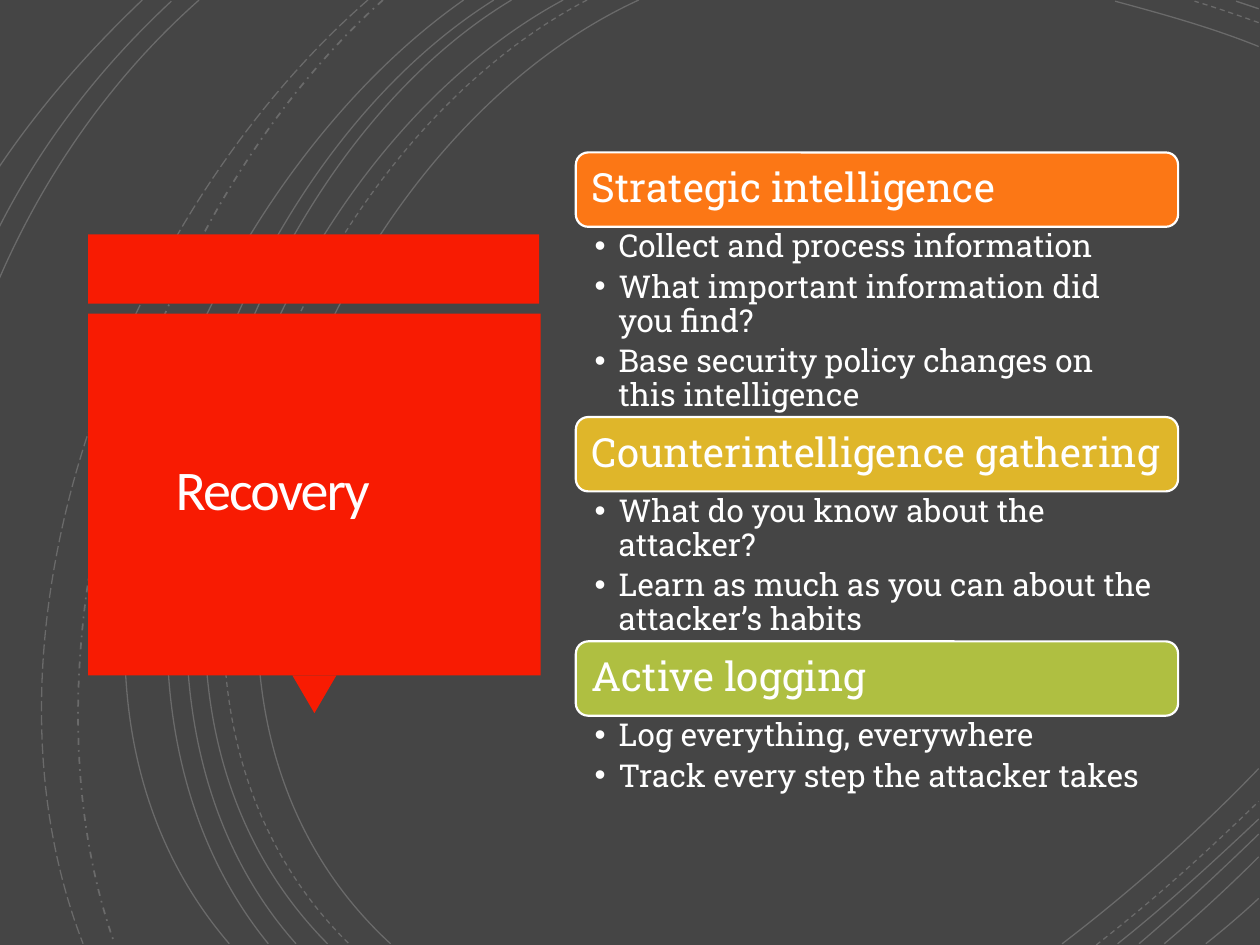
from lxml.etree import SubElement
from pptx import Presentation
from pptx.dml.color import RGBColor
from pptx.enum.dml import MSO_LINE
from pptx.enum.shapes import MSO_SHAPE
from pptx.enum.text import MSO_ANCHOR, PP_ALIGN
from pptx.oxml.ns import qn
from pptx.util import Inches, Pt

COLUMNS, ROWS = 100, 75
CELL = Inches(0.1)
COLORS = {
    "background": "454545",
    "white": "FFFFFF",
    "title": "FFFEFF",
    "red": "F81B02",
    "orange": "FC7715",
    "gold": "DFB62A",
    "green": "AFBF41",
}
BODY_FONT = "Roboto Slab"
SOLID, DASH = MSO_LINE.SOLID, MSO_LINE.DASH

ARCS = [
    (SOLID, 0.75, (50.7, 0), (25.6, 11.5), (8.3, 54), (31, 74.9)),
    (SOLID, 0.75, (99.9, 3.7), (96.2, 2.2), (92.2, 1.1), (88.5, 0.1)),
    (SOLID, 0.75, (84.3, 74.9), (89.8, 70.7), (95.1, 66), (99.9, 61)),
    (DASH, 0.75, (46.6, 0), (22.6, 12.5), (6.3, 53.8), (27.7, 74.9)),
    (DASH, 0.75, (99.9, 1.8), (98.2, 1.2), (96.5, 0.6), (94.8, 0.1)),
    (DASH, 0.75, (87, 75), (91.5, 71.5), (95.8, 67.6), (99.9, 63.6)),
    (SOLID, 0.75, (44.7, 0), (21.1, 12.7), (5, 53.7), (26, 74.9)),
    (SOLID, 0.75, (99.9, 0.7), (99.3, 0.5), (98.7, 0.3), (98.1, 0.1)),
    (SOLID, 0.75, (88.7, 74.9), (92.6, 71.8), (96.3, 68.4), (99.9, 65)),
    (SOLID, 0.75, (40.6, 0), (18.5, 13.3), (5, 54.1), (23.5, 74.9)),
    (SOLID, 0.75, (90.4, 74.9), (93.7, 72.1), (96.8, 69.2), (99.9, 66.2)),
    (SOLID, 0.75, (39.2, 0), (17.2, 13.8), (3.8, 53.4), (21.3, 74.9)),
    (SOLID, 0.75, (92.4, 74.9), (95, 72.7), (97.5, 70.4), (99.9, 68)),
    (SOLID, 0.75, (36.8, 0), (15.8, 14.7), (-0.7, 52.9), (18.2, 74.9)),
    (SOLID, 0.75, (95.7, 74.9), (97.1, 73.8), (98.5, 72.6), (99.9, 71.3)),
    (MSO_LINE.DASH_DOT, 1, (30.4, 0), (11.7, 16.6), (0.6, 50.9), (9.1, 74.9)),
    (MSO_LINE.LONG_DASH, 0.75, (29.2, 0), (9.8, 16.9), (-3.1, 49.9), (6.6, 74.9)),
    (SOLID, 0.75, (15.8, 0), (8.8, 6.2), (3.5, 13.9), (-0.1, 22.2)),
    (SOLID, 0.75, (13.6, 0.1), (7.9, 5.4), (3.3, 11.4), (-0.1, 18.1)),
    (SOLID, 0.75, (11.3, 0), (7.1, 4), (3.2, 8.4), (-0.1, 13.3)),
]

SECTIONS = [
    ("Strategic intelligence", "orange", 15.1, [
        "Collect and process information",
        "What important information did you find?",
        "Base security policy changes on this intelligence",
    ]),
    ("Counterintelligence gathering", "gold", 11.9, [
        "What do you know about the attacker?",
        "Learn as much as you can about the attacker’s habits",
    ]),
    ("Active logging", "green", 6.5, [
        "Log everything, everywhere",
        "Track every step the attacker takes",
    ]),
]
SECTION_LEFT, SECTION_TOP, SECTION_WIDTH, HEADING_HEIGHT = 45.7, 12.1, 47.8, 5.9


def cells(*counts):
    return [round(count * CELL) for count in counts]


def color(name):
    return RGBColor.from_string(COLORS[name])


def add_arc(slide, dash, width, start, *controls):
    builder = slide.shapes.build_freeform(*cells(*start))
    builder.add_line_segments([cells(*point) for point in controls], close=False)
    shape = builder.convert_to_shape()
    shape.shadow.inherit = False
    shape.fill.background()
    shape.line.color.rgb = color("white")
    shape.line.width = Pt(width)
    shape.line.dash_style = dash
    line_color = next(shape.line._get_or_add_ln().iter(qn("a:srgbClr")))
    SubElement(line_color, qn("a:alpha"), val="20000")
    outline = next(shape._element.iter(qn("a:path")))
    curve = SubElement(outline, qn("a:cubicBezTo"))
    for segment in outline.findall(qn("a:lnTo")):
        curve.append(segment[0])
        outline.remove(segment)


def add_block(slide, kind, bounds, fill):
    shape = slide.shapes.add_shape(kind, *cells(*bounds))
    shape.shadow.inherit = False
    shape.fill.solid()
    shape.fill.fore_color.rgb = color(fill)
    shape.line.fill.background()
    return shape


def prepare_frame(shape, anchor, insets):
    frame = shape.text_frame
    frame.word_wrap = True
    frame.vertical_anchor = anchor
    (frame.margin_left, frame.margin_top,
     frame.margin_right, frame.margin_bottom) = cells(*insets)
    return frame


def format_paragraph(paragraph, size, font=BODY_FONT, fill="white",
                     spacing=0.9, after=0, alignment=PP_ALIGN.LEFT):
    paragraph.alignment = alignment
    paragraph.line_spacing = spacing
    paragraph.space_after = Pt(after)
    for run in paragraph.runs:
        run.font.size = Pt(size)
        run.font.name = font
        run.font.color.rgb = color(fill)


def add_bullet(paragraph):
    properties = paragraph._p.get_or_add_pPr()
    indent = Inches(0.19)
    properties.set("marL", str(indent))
    properties.set("indent", str(-indent))
    SubElement(properties, qn("a:buFont"), typeface="Arial")
    SubElement(properties, qn("a:buChar"), char="•")


def add_title(slide, text):
    add_block(slide, MSO_SHAPE.RECTANGLE, (7, 18.6, 35.8, 5.5), "red")
    pointer = add_block(slide, MSO_SHAPE.ISOSCELES_TRIANGLE, (23.2, 53.6, 3.5, 3), "red")
    pointer.rotation = 180
    add_block(slide, MSO_SHAPE.RECTANGLE, (7, 24.9, 35.9, 28.7), "red")
    box = slide.shapes.add_textbox(*cells(7.3, 25.7, 28.7, 26.9))
    frame = prepare_frame(box, MSO_ANCHOR.MIDDLE, (2.5, 2.5, 2.5, 2.5))
    frame.text = text
    paragraph = frame.paragraphs[0]
    format_paragraph(paragraph, 32, "Calibri", "title", 0.85, alignment=PP_ALIGN.CENTER)
    paragraph.runs[0]._r.get_or_add_rPr().set("spc", "-110")


def add_heading(slide, text, fill, top):
    bounds = (SECTION_LEFT, top, SECTION_WIDTH, HEADING_HEIGHT)
    heading = add_block(slide, MSO_SHAPE.ROUNDED_RECTANGLE, bounds, fill)
    heading.line.color.rgb = color("white")
    heading.line.width = Pt(1.25)
    frame = prepare_frame(heading, MSO_ANCHOR.MIDDLE, (1, 1, 0.5, 1))
    frame.text = text
    format_paragraph(frame.paragraphs[0], 23, after=8)


def add_bullet_list(slide, items, top, height):
    box = slide.shapes.add_textbox(*cells(SECTION_LEFT, top, SECTION_WIDTH, height))
    frame = prepare_frame(box, MSO_ANCHOR.TOP, (1.5, 0.3, 1.8, 0.3))
    frame.text = "\n".join(items)
    for paragraph in frame.paragraphs:
        format_paragraph(paragraph, 18, after=3.6)
        add_bullet(paragraph)


def main():
    presentation = Presentation()
    presentation.slide_width, presentation.slide_height = cells(COLUMNS, ROWS)
    slide = presentation.slides.add_slide(presentation.slide_layouts[6])
    slide.background.fill.solid()
    slide.background.fill.fore_color.rgb = color("background")
    for arc in ARCS:
        add_arc(slide, *arc)
    add_title(slide, "Recovery")
    top = SECTION_TOP
    for heading, fill, list_height, items in SECTIONS:
        add_heading(slide, heading, fill, top)
        top += HEADING_HEIGHT
        add_bullet_list(slide, items, top, list_height)
        top += list_height
    presentation.save("out.pptx")


if __name__ == "__main__":
    main()
